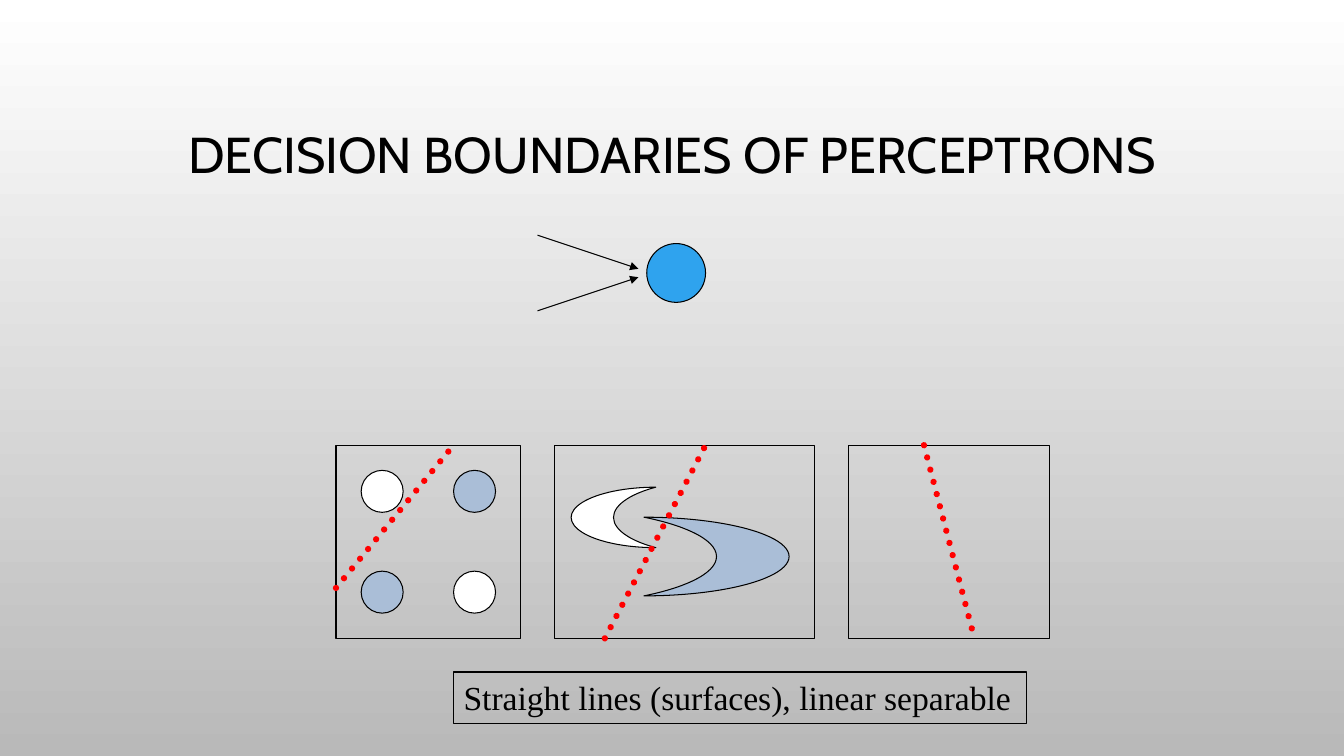
from pptx import Presentation
from pptx.dml.color import RGBColor
from pptx.enum.dml import MSO_LINE
from pptx.enum.shapes import MSO_CONNECTOR, MSO_SHAPE
from pptx.enum.text import MSO_ANCHOR, MSO_AUTO_SIZE, PP_ALIGN
from pptx.oxml.ns import qn
from pptx.util import Pt
from lxml.etree import SubElement

TITLE = "DECISION BOUNDARIES OF PERCEPTRONS"
NOTE = "Straight lines (surfaces), linear separable"
BLACK, WHITE, PALE, BLUE, RED = "000000", "FFFFFF", "AABED7", "2FA3EE", "FF0000"

# Lengths in points: left, top, width, height
TOP, TALL = 318, 138
PANELS = [(240, 132), (396, 186), (606, 144)]  # left, width
DOT = 30
COLS, ROWS = (258, 324), (336, 408)
MOONS = [((408, 348, 60.5, 43.2), WHITE, False),
         ((460, 369.4, 103.7, 56.2), PALE, True)]
NEURON = (462, 174, 42, 42)
INPUTS = [(384, 168, 456, 192), (384, 222, 456, 198)]  # from x, y to x, y
BOUNDS = [(240, 420, 324, TOP), (432, TOP + TALL, 504, TOP),
          (660, TOP, 696, TOP + TALL)]


def color(text):
    return RGBColor.from_string(text)


def shape(home, kind, box, fill=None):
    item = home.add_shape(kind, *map(Pt, box))
    item.shadow.inherit = False
    if fill:
        item.fill.solid()
        item.fill.fore_color.rgb = color(fill)
    else:
        item.fill.background()
    item.line.color.rgb = color(BLACK)
    item.line.width = Pt(0.75)
    return item


def line(home, ends, tint, width):
    item = home.add_connector(MSO_CONNECTOR.STRAIGHT, *map(Pt, ends))
    item.line.color.rgb = color(tint)
    item.line.width = Pt(width)
    SubElement(item.element.spPr, qn("a:effectLst"))
    return item


def write(para, text, font, size):
    run = para.add_run()
    run.text = text
    run.font.name = font
    run.font.size = Pt(size)
    run.font.color.rgb = color(BLACK)


def backdrop(slide):
    fill = slide.background.fill
    fill.gradient()
    fill.gradient_angle = 270
    for stop, tint in zip(fill.gradient_stops, (WHITE, "B9B9B9")):
        stop.color.rgb = color(tint)


def heading(slide):
    title = slide.shapes.title
    title.left, title.top, title.width, title.height = map(Pt, (72, 49, 816, 126))
    title.text_frame.vertical_anchor = MSO_ANCHOR.MIDDLE
    para = title.text_frame.paragraphs[0]
    para.alignment = PP_ALIGN.CENTER
    para.line_spacing = 0.9
    write(para, TITLE, "Cabin", 36)


def panels(slide):
    home = slide.shapes.add_group_shape().shapes
    for r, y in enumerate(ROWS):
        for c, x in enumerate(COLS):
            tint = WHITE if r == c else PALE
            shape(home, MSO_SHAPE.OVAL, (x, y, DOT, DOT), tint)
    for box, tint, flip in MOONS:
        moon = shape(home, MSO_SHAPE.MOON, box, tint)
        if flip:
            moon.element.spPr.find(qn("a:xfrm")).set("flipH", "1")
    for x, width in PANELS:
        shape(home, MSO_SHAPE.RECTANGLE, (x, TOP, width, TALL))


def lines(slide):
    for ends in INPUTS:
        arrow = line(slide.shapes, ends, BLACK, 0.75)
        SubElement(arrow.line._get_or_add_ln(), qn("a:tailEnd"), type="triangle")
    for ends in BOUNDS:
        bound = line(slide.shapes, ends, RED, 4.5)
        bound.line.dash_style = MSO_LINE.ROUND_DOT
        bound.line._get_or_add_ln().set("cap", "rnd")


def note(slide):
    box = shape(slide.shapes, MSO_SHAPE.RECTANGLE, (324, 480, 409, 36.7))
    frame = box.text_frame
    frame.word_wrap = False
    frame.auto_size = MSO_AUTO_SIZE.SHAPE_TO_FIT_TEXT
    frame.vertical_anchor = MSO_ANCHOR.TOP
    para = frame.paragraphs[0]
    para.alignment = PP_ALIGN.LEFT
    write(para, NOTE, "Times New Roman", 24)


def main():
    deck = Presentation()
    deck.slide_width, deck.slide_height = Pt(960), Pt(540)
    slide = deck.slides.add_slide(deck.slide_layouts[5])
    backdrop(slide)
    heading(slide)
    panels(slide)
    shape(slide.shapes, MSO_SHAPE.OVAL, NEURON, BLUE)
    lines(slide)
    note(slide)
    deck.save("out.pptx")


if __name__ == "__main__":
    main()
